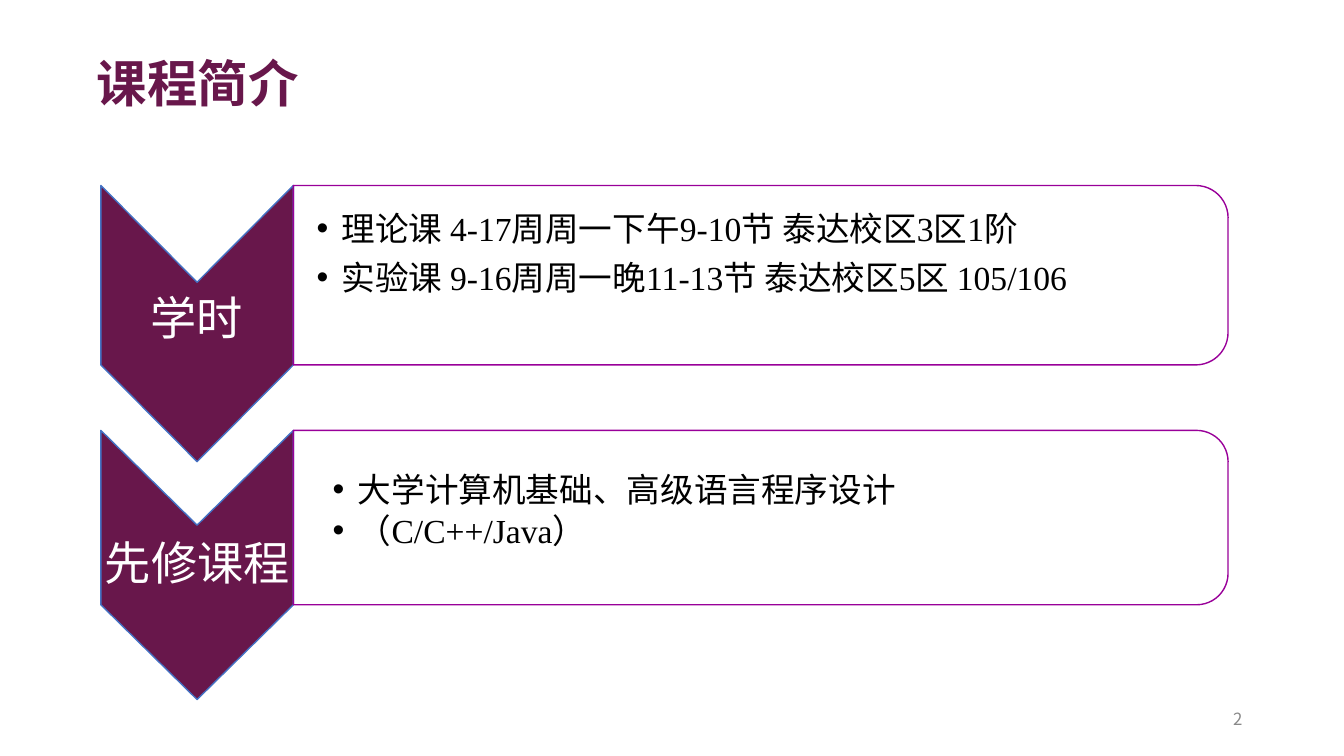
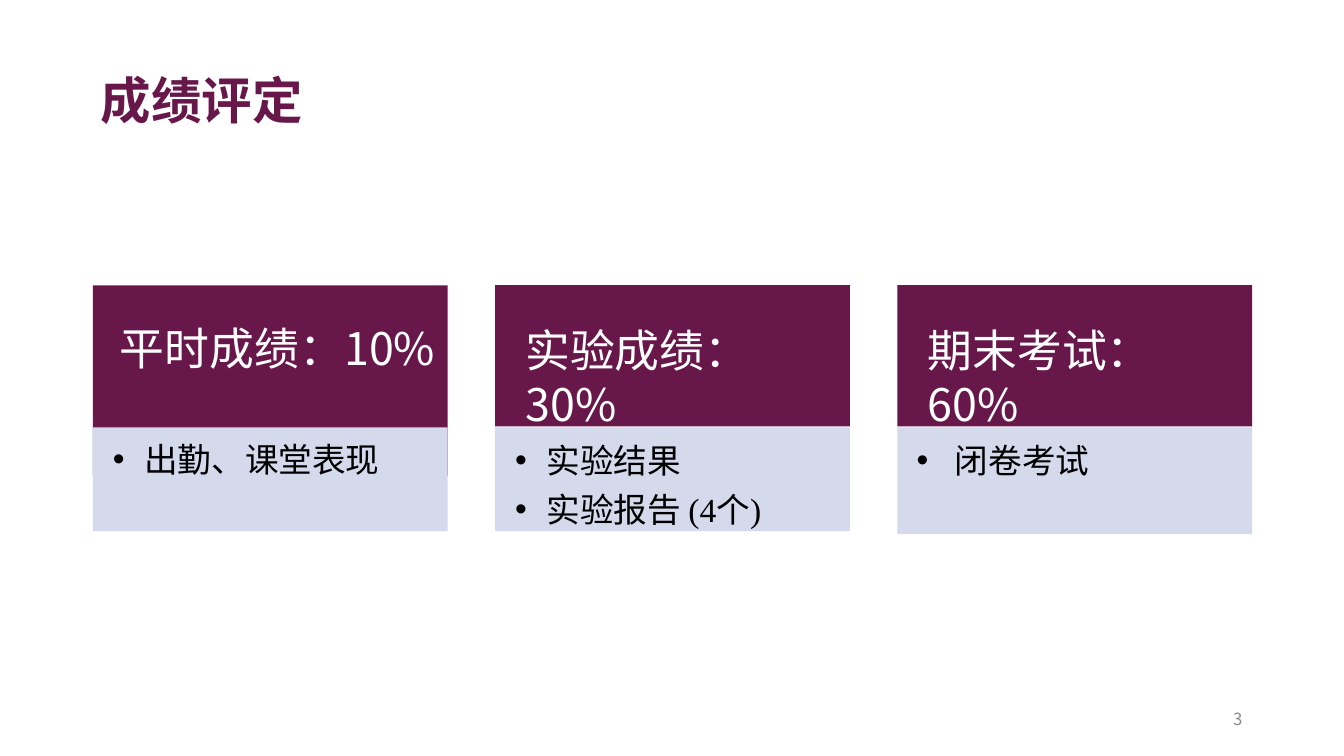
from dataclasses import dataclass

from lxml import etree
from pptx import Presentation
from pptx.dml.color import RGBColor
from pptx.enum.shapes import MSO_SHAPE
from pptx.enum.text import MSO_ANCHOR, MSO_AUTO_SIZE, PP_ALIGN
from pptx.oxml.ns import qn
from pptx.util import Inches, Pt

RECT = MSO_SHAPE.RECTANGLE
ROUND = MSO_SHAPE.ROUND_2_SAME_RECTANGLE
TOP = MSO_ANCHOR.TOP
MIDDLE = MSO_ANCHOR.MIDDLE
LEFT = PP_ALIGN.LEFT
FIT = MSO_AUTO_SIZE.SHAPE_TO_FIT_TEXT
FIXED = MSO_AUTO_SIZE.NONE


@dataclass(frozen=True)
class Theme:
    plum: str = "68174B"
    blue: str = "4472C4"
    violet: str = "990099"
    pale: str = "D4D9EC"
    white: str = "FFFFFF"
    black: str = "000000"
    gray: str = "898989"
    serif: str = "Times New Roman"
    sans: str = "Noto Sans CJK SC"
    title: int = 36
    label: int = 33
    head: int = 32
    body: int = 24
    foot: int = 12


THEME = Theme()


def write(frame, text, *, size, color, font, bold=False, pads=(0, 0.01, 0, 0),
          anchor=TOP, fit=FIXED, bullet=False, left=0, hang=0, gap=0, line=None):
    frame.word_wrap = True
    frame.auto_size = fit
    frame.vertical_anchor = anchor
    (frame.margin_left, frame.margin_top,
     frame.margin_right, frame.margin_bottom) = map(Inches, pads)
    for num, row in enumerate(text.split("\n")):
        para = frame.add_paragraph() if num else frame.paragraphs[0]
        para.alignment = LEFT
        if num:
            para.space_before = Pt(gap)
        if line:
            para.line_spacing = line
        props = para._p.get_or_add_pPr()
        props.set("marL", str(Inches(left)))
        props.set("indent", str(-Inches(hang)))
        if bullet:
            etree.SubElement(props, qn("a:buFont")).set("typeface", "Arial")
            etree.SubElement(props, qn("a:buChar")).set("char", "•")
        run = para.add_run()
        run.text = row
        face = run.font
        face.size = Pt(size)
        face.bold = bold
        face.name = font
        face.color.rgb = RGBColor.from_string(color)
        east = etree.SubElement(run._r.get_or_add_rPr(), qn("a:ea"))
        east.set("typeface", THEME.sans)


class Deck:
    def __init__(self, theme):
        self.theme = theme
        self.file = Presentation()
        self.file.slide_width = Inches(13.33)
        self.file.slide_height = Inches(7.5)
        self.slide = None

    def page(self, title, num, x, y, line=None):
        t = self.theme
        self.slide = self.file.slides.add_slide(self.file.slide_layouts[5])
        box = self.slide.shapes.title
        box.left, box.top, box.width, box.height = map(Inches, (x, y, 2.47, 0.62))
        write(box.text_frame, title, size=t.title, color=t.plum, font=t.serif,
              bold=True, anchor=MIDDLE, fit=FIT, line=line)
        self.text(str(num), 12.19, 7.05, 0.17, 0.2, size=t.foot, color=t.gray,
                  font=t.sans, left=0.04, pads=(0, 0, 0, 0), line=Pt(13.1))

    def text(self, words, x, y, w, h, **style):
        box = self.slide.shapes.add_textbox(*map(Inches, (x, y, w, h)))
        write(box.text_frame, words, fit=FIT, **style)

    def paint(self, shape, fill=None, line=None):
        shape.shadow.inherit = False
        if fill:
            shape.fill.solid()
            shape.fill.fore_color.rgb = RGBColor.from_string(fill)
        else:
            shape.fill.background()
        if line:
            shape.line.color.rgb = RGBColor.from_string(line)
            shape.line.width = Pt(1)
        else:
            shape.line.fill.background()

    def rect(self, x, y, w, h, fill, words="", **style):
        box = self.slide.shapes.add_shape(RECT, *map(Inches, (x, y, w, h)))
        self.paint(box, fill)
        if words:
            write(box.text_frame, words, **style)

    def arrow(self, x, y, w, side, dip):
        mid = x + w / 2
        spots = [(x + w, y), (x + w, y + side), (mid, y + side + dip),
                 (x, y + side), (x, y), (mid, y + dip)]
        spots = [(Inches(a), Inches(b)) for a, b in spots]
        path = self.slide.shapes.build_freeform(*spots[0])
        path.add_line_segments(spots[1:], close=True)
        self.paint(path.convert_to_shape(), self.theme.plum, self.theme.blue)

    def panel(self, x, y, w, h):
        shape = self.slide.shapes.add_shape(
            ROUND, Inches(x + (w - h) / 2), Inches(y + (h - w) / 2),
            Inches(h), Inches(w))
        shape.rotation = 90
        shape.adjustments[0] = 0.18
        shape.adjustments[1] = 0
        self.paint(shape, line=self.theme.violet)

    def step(self, y, side, dip, label, spot, words, place, **style):
        t = self.theme
        self.arrow(1, y, 1.91, side, dip)
        self.text(label, *spot, size=t.label, color=t.white, font=t.sans, left=0.01)
        self.panel(2.91, y, 9.27, side)
        self.text(words, *place, size=t.body, color=t.black, font=t.serif,
                  bullet=True, left=2.22, hang=0.25, **style)

    def card(self, x, tall, head, low, words, pad, left, hang):
        t = self.theme
        self.rect(x, 2.83, 3.52, tall, t.plum, head, size=t.head, color=t.white,
                  font=t.sans, left=0.3, pads=(0, 0.37, 0.1, 0))
        self.rect(x, 4.24, 3.52, low, t.pale, words, size=t.body, color=t.black,
                  font=t.serif, bullet=True, left=left, hang=hang, gap=6.7,
                  pads=(0, pad, 0, 0))


def main():
    deck = Deck(THEME)

    deck.page("课程简介", 2, 0.96, 0.54, line=0.9)
    deck.step(1.84, 1.78, 0.96, "学时", (1.48, 2.86, 0.94, 0.58),
              "理论课 4-17周周一下午9-10节 泰达校区3区1阶\n"
              "实验课 9-16周周一晚11-13节 泰达校区5区 105/106",
              (1.17, 1.95, 11.43, 0.98), gap=6.2, pads=(0, 0.11, 0, 0))
    deck.step(4.27, 1.73, 0.94, "先修课程", (1.03, 5.29, 1.86, 0.58),
              "大学计算机基础、高级语言程序设计\n（C/C++/Java）",
              (1.33, 4.64, 8.89, 0.84), gap=0.7)

    deck.page("成绩评定", 3, 1, 0.67)
    cards = [
        (1.89, "", 1.03, "出勤、课堂表现", 0.11, 0.51, 0.31),
        (1.4, "实验成绩：30%", 1.03, "实验结果\n实验报告 (4个)", 0.12, 0.51, 0.31),
        (1.4, "期末考试：60%", 1.06, "闭卷考试", 0.12, 0.57, 0.38),
    ]
    for num, card in enumerate(cards):
        deck.card(0.92 + num * 3.99, *card)
    deck.text("平时成绩：10%", 1.09, 3.13, 3.93, 0.64, size=THEME.head,
              color=THEME.white, font=THEME.sans, pads=(0.1, 0.05, 0.1, 0.05))

    deck.file.save("out.pptx")


if __name__ == "__main__":
    main()
